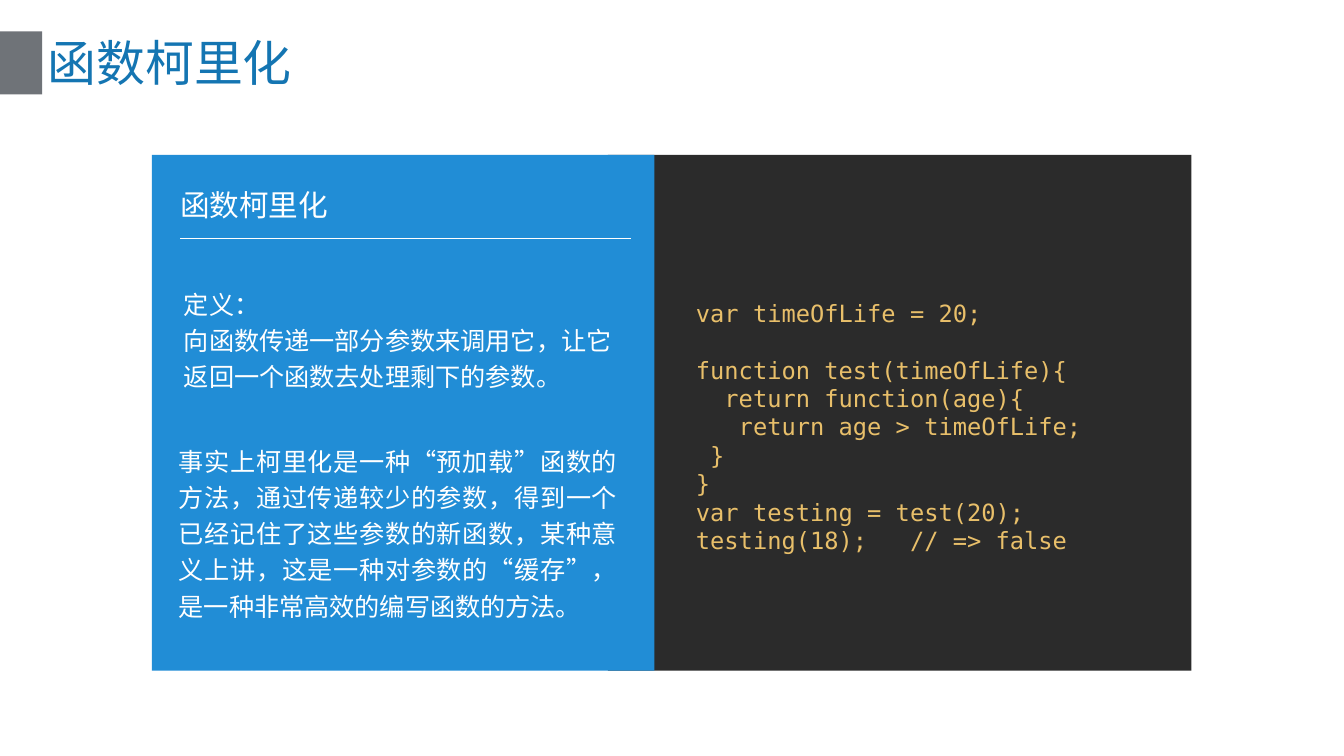
"""Builds the slide on function currying, with lengths as percent of the slide."""
from lxml.etree import SubElement
from pptx import Presentation
from pptx.dml.color import RGBColor
from pptx.enum.shapes import MSO_CONNECTOR, MSO_SHAPE
from pptx.enum.text import MSO_ANCHOR, MSO_AUTO_SIZE, PP_ALIGN
from pptx.oxml.ns import qn
from pptx.util import Inches, Pt

WIDTH, HEIGHT = 25.2, 14.17
SANS, MONO = "Noto Sans CJK SC", "DejaVu Sans Mono"
WHITE, BLUE, TITLE_BLUE = "FFFFFF", "218DD6", "1475B2"
GREY, DARK, CODE_YELLOW = "6F7378", "2B2B2B", "E8BF6A"
TOPIC = "函数柯里化"
DEFINITION = ["定义：", "向函数传递一部分参数来调用它，让它返回一个函数去处理剩下的参数。"]
EXPLANATION = [
    "事实上柯里化是一种“预加载”函数的方法，通过传递较少的参数，"
    "得到一个已经记住了这些参数的新函数，某种意义上讲，"
    "这是一种对参数的“缓存”，是一种非常高效的编写函数的方法。"
]
CODE = [
    "var timeOfLife = 20;",
    "function test(timeOfLife){",
    "  return function(age){",
    "   return age > timeOfLife;",
    " }",
    "}",
    "var testing = test(20);",
    "testing(18);   // => false",
]


def color(value):
    """Turn a hex string into a colour."""
    return RGBColor.from_string(value)


def share(x, y):
    """Turn percentages of the slide's width and height into lengths."""
    return Inches(WIDTH * x / 100), Inches(HEIGHT * y / 100)


def box(x, y, w, h):
    """Return left, top, width and height from percentages."""
    return *share(x, y), *share(w, h)


def style(p, size, font, hue, align=PP_ALIGN.LEFT, spacing=None):
    """Format a whole paragraph, East Asian characters included."""
    p.alignment = align
    p.line_spacing = spacing
    p.font.size = Pt(size)
    p.font.name = font
    p.font.color.rgb = color(hue)
    props = p._p.pPr.find(qn("a:defRPr"))
    SubElement(props, qn("a:ea")).set("typeface", font)


def add_title(s, text):
    """Place and format the title placeholder."""
    title = s.shapes.title
    title.left, title.top, title.width, title.height = box(3.13, 4.02, 93.73, 8.47)
    title.text_frame.text = text
    title.text_frame.vertical_anchor = MSO_ANCHOR.MIDDLE
    style(title.text_frame.paragraphs[0], 66, SANS, TITLE_BLUE)


def add_panel(s, area, hue):
    """Add a plain filled rectangle."""
    sp = s.shapes.add_shape(MSO_SHAPE.RECTANGLE, *box(*area))
    sp.shadow.inherit = False
    sp.fill.solid()
    sp.fill.fore_color.rgb = color(hue)
    sp.line.fill.background()


def add_rule(s, x1, x2, y):
    """Add a thin white horizontal line."""
    line = s.shapes.add_connector(MSO_CONNECTOR.STRAIGHT, *share(x1, y), *share(x2, y))
    line.line.color.rgb = color(WHITE)
    line.line.width = Pt(1)
    SubElement(line._element.spPr, qn("a:effectLst"))


def add_text(s, area, lines, **look):
    """Add a wrapping text box with one paragraph per line and return its frame."""
    tf = s.shapes.add_textbox(*box(*area)).text_frame
    tf.word_wrap = True
    tf.auto_size = MSO_AUTO_SIZE.SHAPE_TO_FIT_TEXT
    tf.text = "\n".join(lines)
    for p in tf.paragraphs:
        style(p, **look)
    return tf


def add_prose(s, area, lines, size, **look):
    """Add white text centred vertically within narrow margins."""
    tf = add_text(s, area, lines, size=size, font=SANS, hue=WHITE, **look)
    tf.vertical_anchor = MSO_ANCHOR.MIDDLE
    tf.margin_left = tf.margin_right = tf.margin_top = tf.margin_bottom = Inches(0.07)


def add_code(s, area, lines):
    """Add the listing, with a gap of one line before the function."""
    tf = add_text(s, area, lines, size=32, font=MONO, hue=CODE_YELLOW)
    tf.paragraphs[1].space_before = Pt(37.25)


def main():
    """Build and save the slide."""
    prs = Presentation()
    prs.slide_width, prs.slide_height = share(100, 100)
    s = prs.slides.add_slide(prs.slide_layouts[5])
    add_panel(s, (0, 4.16, 3.13, 8.33), GREY)
    add_title(s, TOPIC)
    add_panel(s, (45.24, 20.47, 43.41, 68.24), DARK)
    add_panel(s, (11.31, 20.47, 37.38, 68.24), BLUE)
    add_prose(s, (13.13, 24.21, 32.1, 5.79), [TOPIC], 40)
    add_rule(s, 13.41, 46.94, 31.47)
    add_prose(s, (13.41, 36.98, 33.49, 15.24), DEFINITION, 34, spacing=1.2)
    add_prose(s, (13.02, 57.73, 33.21, 24.91), EXPLANATION, 34,
              align=PP_ALIGN.JUSTIFY, spacing=1.2)
    add_code(s, (51.39, 39.24, 37.3, 34.93), CODE)
    prs.save("out.pptx")


if __name__ == "__main__":
    main()
